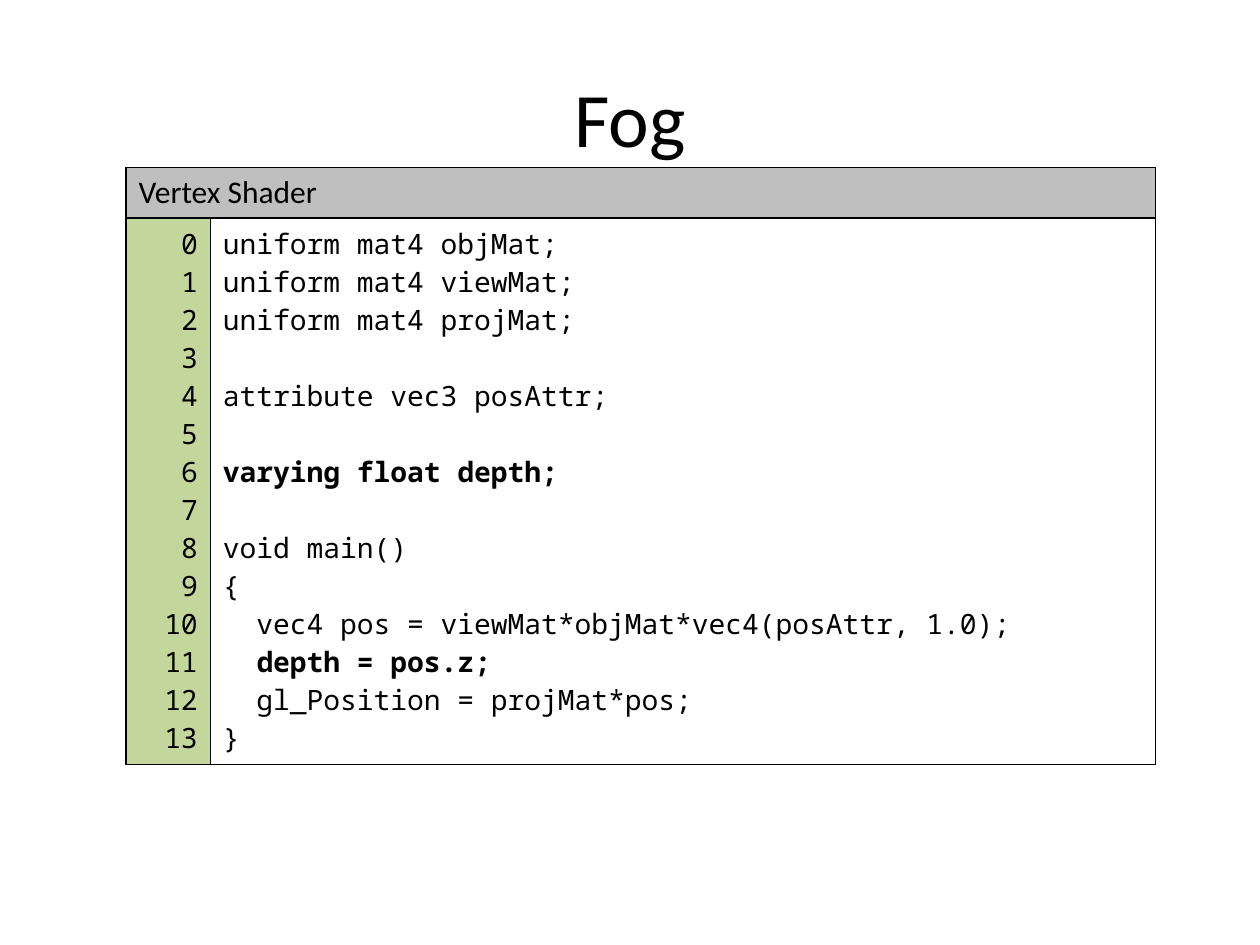
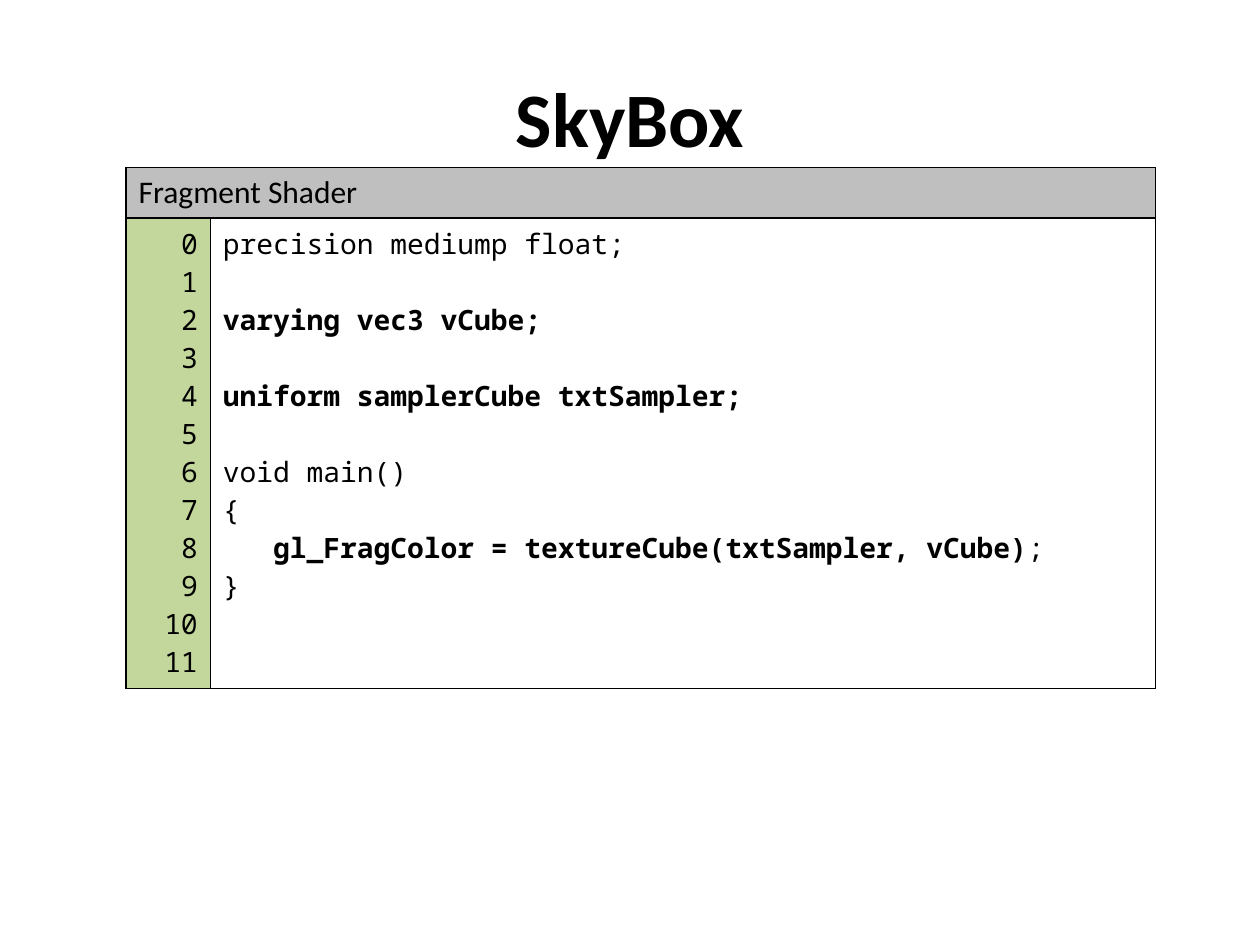
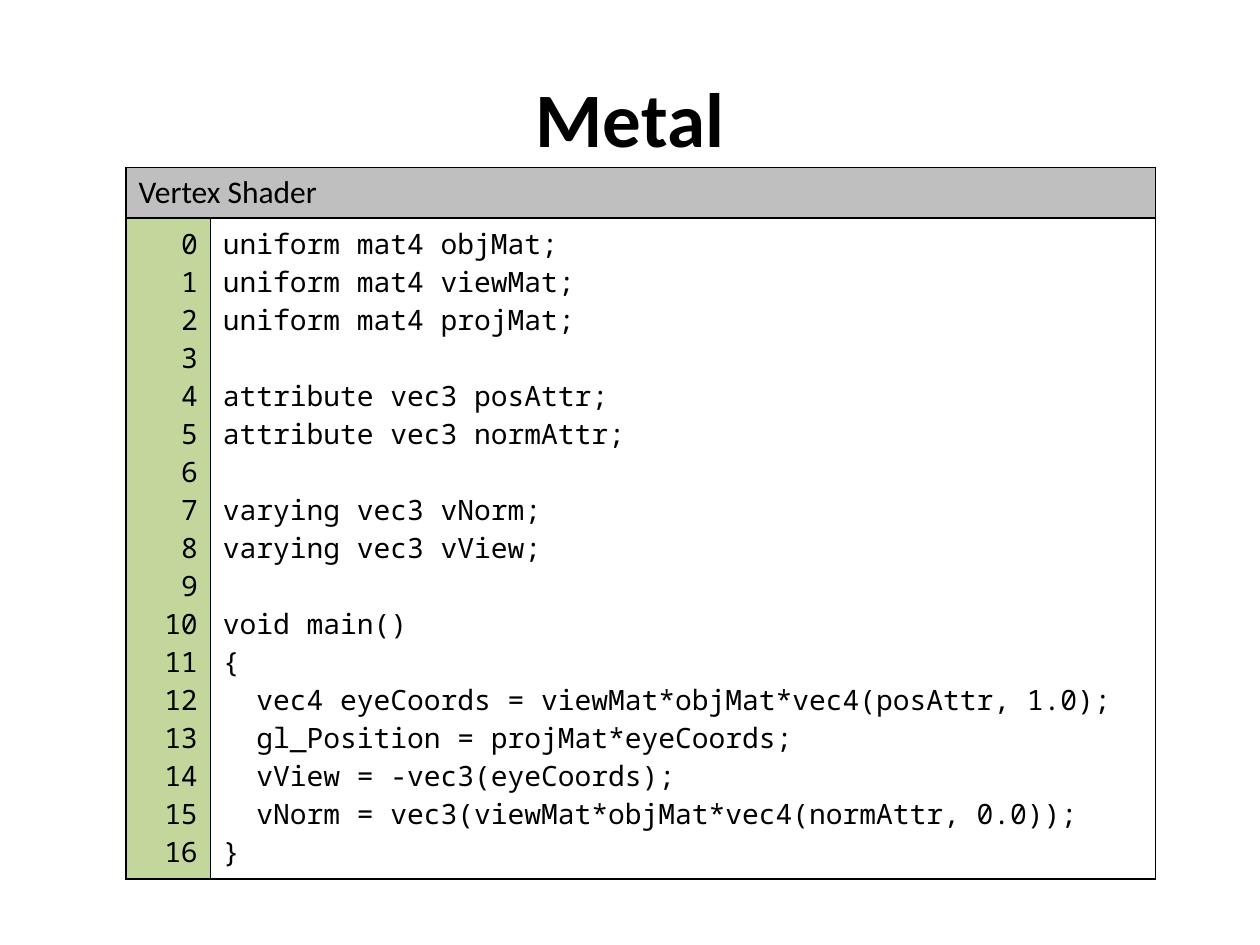
import pptx
import pptx.util
import pptx.dml.color
import pptx.enum.text
from lxml import etree

Inches = pptx.util.Inches
Pt = pptx.util.Pt
ALIGN = pptx.enum.text.PP_ALIGN
ANCHOR = pptx.enum.text.MSO_ANCHOR

COLORS = {
    "page": "FFFFFF",
    "text": "000000",
    "border": "000000",
    "header": "BFBFBF",
    "numbers": "C3D69B",
}
TITLE = {"name": "Calibri", "size": Pt(44)}
HEADER = {"name": "Calibri", "size": Pt(18), "bold": False}
CODE = {"name": "Noto Sans Mono", "size": Pt(16)}
CODE_LINE = 21.8
NS = "http://schemas.openxmlformats.org/drawingml/2006/main"

FOG_CODE = """uniform mat4 objMat;
uniform mat4 viewMat;
uniform mat4 projMat;

attribute vec3 posAttr;

**varying float depth;**

void main()
{
  vec4 pos = viewMat*objMat*vec4(posAttr, 1.0);
  **depth = pos.z;**
  gl_Position = projMat*pos;
}"""

SKYBOX_CODE = """precision mediump float;

**varying vec3 vCube;**

**uniform samplerCube txtSampler;**

void main()
{
   **gl_FragColor = textureCube(txtSampler, vCube)**;
}"""

METAL_CODE = """uniform mat4 objMat;
uniform mat4 viewMat;
uniform mat4 projMat;

attribute vec3 posAttr;
attribute vec3 normAttr;

varying vec3 vNorm;
varying vec3 vView;

void main()
{
  vec4 eyeCoords = viewMat*objMat*vec4(posAttr, 1.0);
  gl_Position = projMat*eyeCoords;
  vView = -vec3(eyeCoords);
  vNorm = vec3(viewMat*objMat*vec4(normAttr, 0.0));
}"""

SLIDES = [
    ("Fog", False, "Vertex Shader", 14, FOG_CODE),
    ("SkyBox", True, "Fragment Shader", 12, SKYBOX_CODE),
    ("Metal", True, "Vertex Shader", 17, METAL_CODE),
]


def rgb(name):
    return pptx.dml.color.RGBColor.from_string(COLORS[name])


def add_run(p, text, **formats):
    r = p.add_run()
    r.text = text
    for key, value in formats.items():
        setattr(r.font, key, value)
    r.font.color.rgb = rgb("text")


def next_paragraph(tf):
    p = tf.paragraphs[0]
    return tf.add_paragraph() if p.runs else p


def add_title(s, text, bold):
    sp = s.shapes.add_textbox(Inches(0.5), Inches(0.3), Inches(9), Inches(1.25))
    tf = sp.text_frame
    tf.word_wrap = True
    tf.vertical_anchor = ANCHOR.MIDDLE
    p = tf.paragraphs[0]
    p.alignment = ALIGN.CENTER
    add_run(p, text, bold=bold, **TITLE)


def style_cell(cell, fill):
    tc_pr = cell._tc.get_or_add_tcPr()
    for side in ("lnL", "lnR", "lnT", "lnB"):
        ln = etree.SubElement(tc_pr, f"{{{NS}}}{side}", w=str(Pt(1)))
        solid = etree.SubElement(ln, f"{{{NS}}}solidFill")
        etree.SubElement(solid, f"{{{NS}}}srgbClr", val=COLORS["border"])
    cell.fill.solid()
    cell.fill.fore_color.rgb = rgb(fill)


def write_numbers(tf, count):
    for number in range(count):
        p = next_paragraph(tf)
        p.alignment = ALIGN.RIGHT
        add_run(p, str(number), bold=False, **CODE)


def write_code(tf, code):
    skipped = 0
    for line in code.splitlines():
        if not line:
            skipped += 1
            continue
        p = next_paragraph(tf)
        if skipped:
            p.space_before = Pt(skipped * CODE_LINE)
            skipped = 0
        for i, part in enumerate(line.split("**")):
            if part:
                add_run(p, part, bold=i % 2 == 1, **CODE)


def add_listing(s, heading, count, code):
    heights = [Inches(0.4), Inches(0.1) + Pt(count * CODE_LINE)]
    widths = [Inches(0.67), Inches(7.5)]
    table = s.shapes.add_table(
        2, 2, Inches(1), Inches(1.33), sum(widths), sum(heights)
    ).table
    table.first_row = False
    table.horz_banding = False
    for column, width in zip(table.columns, widths):
        column.width = width
    for row, height in zip(table.rows, heights):
        row.height = height
    fills = [["header", "header"], ["numbers", "page"]]
    for row, names in zip(table.rows, fills):
        for cell, fill in zip(row.cells, names):
            style_cell(cell, fill)
    header = table.cell(0, 0)
    header.merge(table.cell(0, 1))
    add_run(header.text_frame.paragraphs[0], heading, **HEADER)
    write_numbers(table.cell(1, 0).text_frame, count)
    write_code(table.cell(1, 1).text_frame, code)


def main():
    prs = pptx.Presentation()
    prs.slide_width = Inches(10)
    prs.slide_height = Inches(7.5)
    for title, bold, heading, count, code in SLIDES:
        s = prs.slides.add_slide(prs.slide_layouts[6])
        s.background.fill.solid()
        s.background.fill.fore_color.rgb = rgb("page")
        add_title(s, title, bold)
        add_listing(s, heading, count, code)
    prs.save("out.pptx")


if __name__ == "__main__":
    main()
